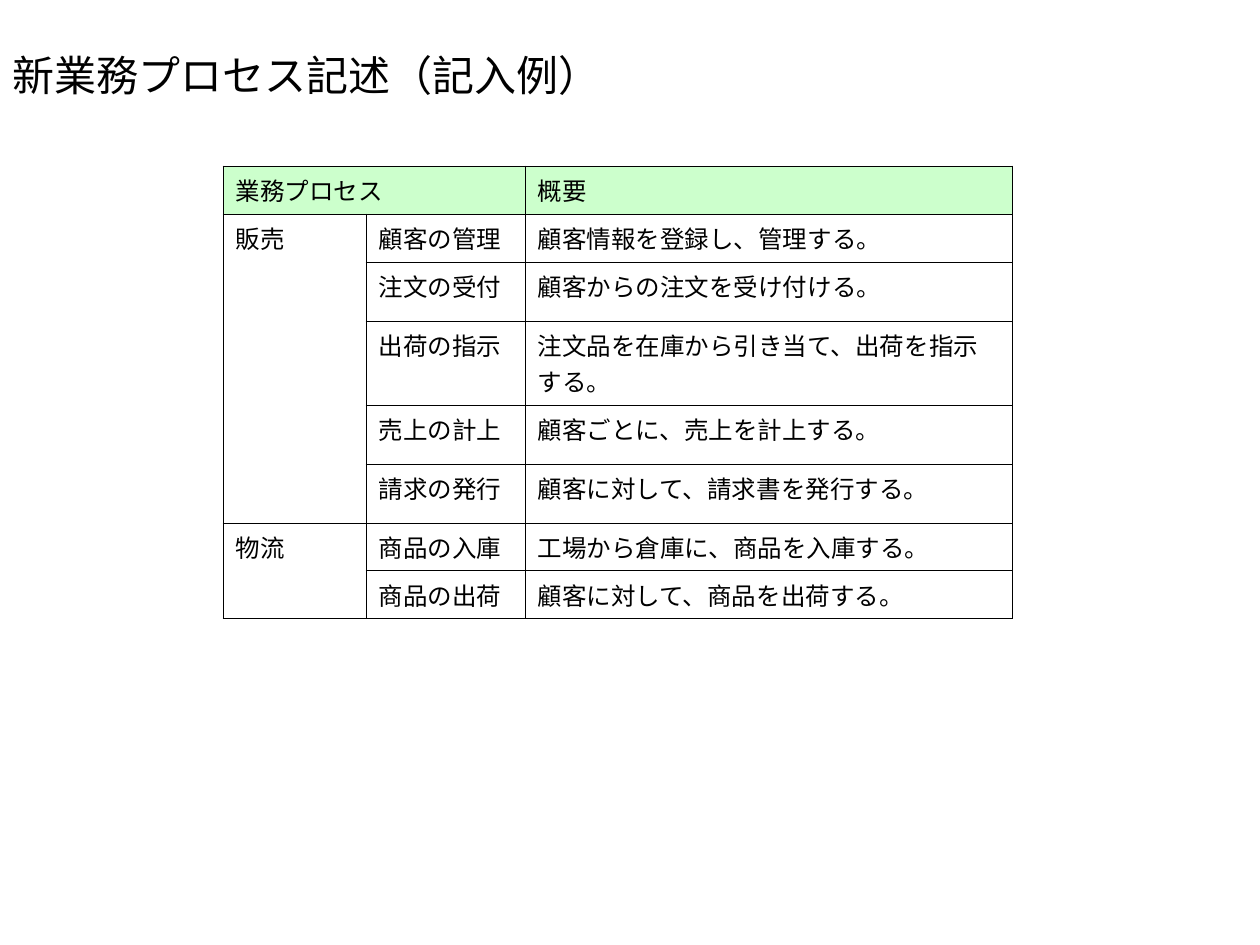
from lxml.etree import SubElement
from pptx import Presentation
from pptx.dml.color import RGBColor
from pptx.enum.text import MSO_ANCHOR
from pptx.oxml.ns import qn
from pptx.util import Emu, Pt

PX = 914400 // 126
FONT = "Times New Roman"
BLACK, WHITE, GREEN = "000000", "FFFFFF", "CCFFCC"

COLUMNS = [143, 159, 487]
ROW_HEIGHTS = [48, 48, 59, 84, 59, 59, 48, 48]
HEADER = ["業務プロセス", "", "概要"]
PROCESSES = {
    "販売": [
        ("顧客の管理", "顧客情報を登録し、管理する。"),
        ("注文の受付", "顧客からの注文を受け付ける。"),
        ("出荷の指示", "注文品を在庫から引き当て、出荷を指示する。"),
        ("売上の計上", "顧客ごとに、売上を計上する。"),
        ("請求の発行", "顧客に対して、請求書を発行する。"),
    ],
    "物流": [
        ("商品の入庫", "工場から倉庫に、商品を入庫する。"),
        ("商品の出荷", "顧客に対して、商品を出荷する。"),
    ],
}


def px(n):
    return Emu(n * PX)


def color(value):
    return RGBColor.from_string(value)


def write(tf, text, size=14, fill=BLACK, anchor=MSO_ANCHOR.TOP):
    tf.word_wrap = True
    tf.vertical_anchor = anchor
    r = tf.paragraphs[0].add_run()
    r.text = text
    r.font.name = FONT
    r.font.size = Pt(size)
    r.font.color.rgb = color(fill)


def add_title(s, text):
    box = s.shapes.add_textbox(px(0), px(30), px(1260), px(76))
    write(box.text_frame, text, size=24, anchor=MSO_ANCHOR.BOTTOM)


def style_cell(cell, fill):
    # Borders come before the fill in the cell properties
    tc_pr = cell._tc.get_or_add_tcPr()
    for side in ("lnL", "lnR", "lnT", "lnB"):
        line = SubElement(tc_pr, qn(f"a:{side}"), w=str(Pt(0.45)))
        solid = SubElement(line, qn("a:solidFill"))
        SubElement(solid, qn("a:srgbClr"), val=BLACK)
    cell.fill.solid()
    cell.fill.fore_color.rgb = color(fill)


def add_process_table(s, left, top):
    shape = s.shapes.add_table(len(ROW_HEIGHTS), len(COLUMNS), px(left), px(top),
                               px(sum(COLUMNS)), px(sum(ROW_HEIGHTS)))
    table = shape.table
    table.first_row = table.horz_banding = False
    for column, width in zip(table.columns, COLUMNS):
        column.width = px(width)
    for row, height in zip(table.rows, ROW_HEIGHTS):
        row.height = px(height)

    # Each group name stands in the first row of its group
    rows = [HEADER]
    table.cell(0, 0).merge(table.cell(0, 1))
    for group, steps in PROCESSES.items():
        first = len(rows)
        for i, step in enumerate(steps):
            rows.append(["" if i else group, *step])
        table.cell(first, 0).merge(table.cell(len(rows) - 1, 0))

    for i, texts in enumerate(rows):
        for j, text in enumerate(texts):
            cell = table.cell(i, j)
            style_cell(cell, WHITE if i else GREEN)
            if text:
                write(cell.text_frame, text)


def main():
    prs = Presentation()
    prs.slide_width, prs.slide_height = px(1260), px(945)
    s = prs.slides.add_slide(prs.slide_layouts[6])
    add_title(s, "新業務プロセス記述（記入例）")
    add_process_table(s, 223, 166)
    prs.save("out.pptx")


if __name__ == "__main__":
    main()
